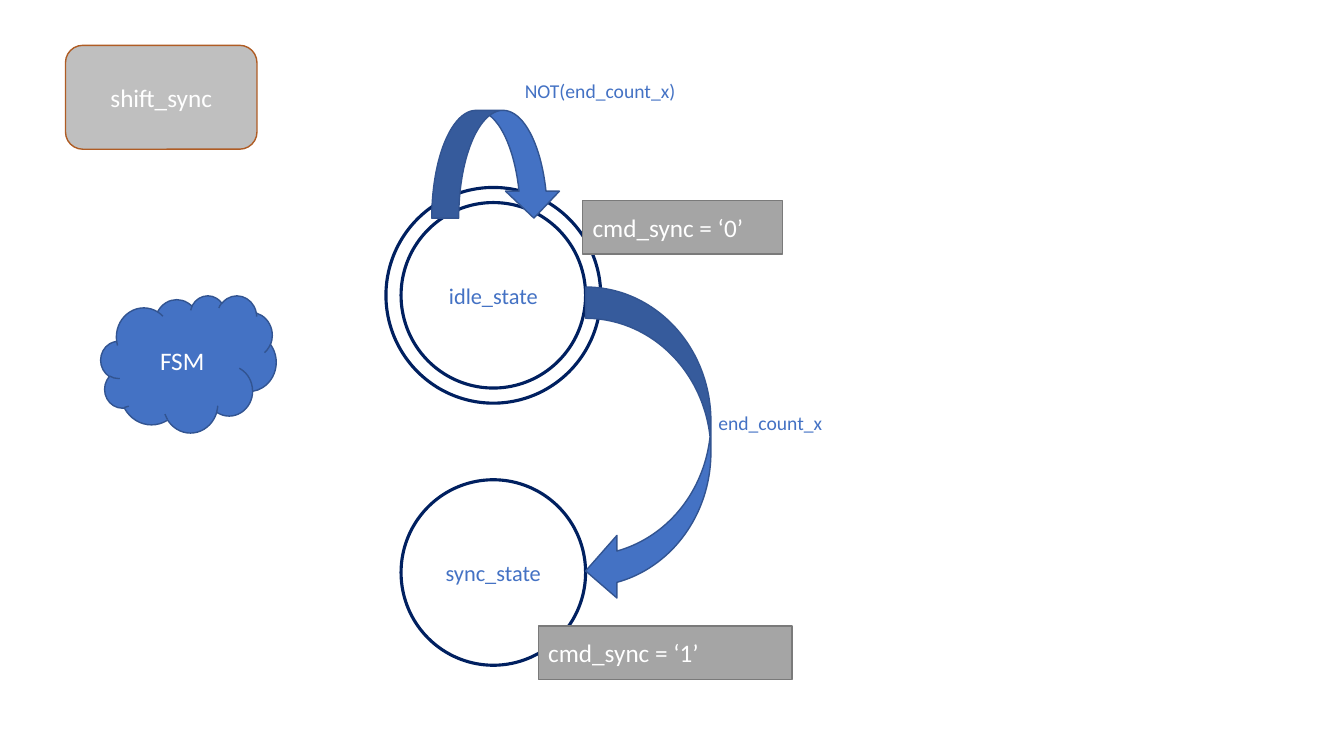
import pptx
import pptx.util
import pptx.dml.color
import pptx.enum.shapes
import pptx.enum.text

Pt = pptx.util.Pt
SHAPE = pptx.enum.shapes.MSO_SHAPE
ALIGN = pptx.enum.text.PP_ALIGN
ANCHOR = pptx.enum.text.MSO_ANCHOR

COLORS = {
    "white": "FFFFFF",
    "blue": "4472C4",
    "blue_line": "325491",
    "navy": "002060",
    "gray": "A5A5A5",
    "gray_line": "7A7A7A",
    "light_gray": "BFBFBF",
    "rust": "AF5C24",
}
STATE_W, STATE_H = 131.8, 132.5
STATE_X = 286.5
IDLE_Y, SYNC_Y = 144.7, 342.7
RING_GAP = 10.8


def rgb(name):
    return pptx.dml.color.RGBColor.from_string(COLORS[name])


def write(sp, text, size, color, align=ALIGN.CENTER):
    tf = sp.text_frame
    tf.word_wrap = True
    tf.text = text
    p = tf.paragraphs[0]
    p.alignment = align
    font = p.runs[0].font
    font.name = "Calibri"
    font.size = Pt(size)
    font.color.rgb = rgb(color)


def add_shape(slide, kind, box, fill, line, line_width=1):
    sp = slide.shapes.add_shape(kind, *map(Pt, box))
    sp.shadow.inherit = False
    sp.fill.solid()
    sp.fill.fore_color.rgb = rgb(fill)
    sp.line.color.rgb = rgb(line)
    sp.line.width = Pt(line_width)
    sp.text_frame.vertical_anchor = ANCHOR.MIDDLE
    return sp


def add_state(slide, box, name, initial=False):
    """Draw a state circle; the initial state gets a second, outer ring."""
    x, y, w, h = box
    if initial:
        outer = (x - RING_GAP, y - RING_GAP, w + 2 * RING_GAP, h + 2 * RING_GAP)
        add_shape(slide, SHAPE.OVAL, outer, "white", "navy", 2.25)
    sp = add_shape(slide, SHAPE.OVAL, box, "white", "navy", 2.25)
    write(sp, name, 16, "blue")


def add_transition(slide, box, condition, label_box, rotation=0):
    arrow = add_shape(slide, SHAPE.CURVED_LEFT_ARROW, box, "blue", "blue_line")
    arrow.rotation = rotation
    label = slide.shapes.add_textbox(*map(Pt, label_box))
    write(label, condition, 14, "blue")
    label.text_frame.auto_size = pptx.enum.text.MSO_AUTO_SIZE.SHAPE_TO_FIT_TEXT


def add_output(slide, box, text):
    sp = add_shape(slide, SHAPE.RECTANGLE, box, "gray", "gray_line")
    write(sp, text, 18, "white", ALIGN.LEFT)


def add_badge(slide, kind, box, text, fill, line):
    sp = add_shape(slide, kind, box, fill, line)
    write(sp, text, 18, "white")


def build_state_diagram(slide):
    right = STATE_X + STATE_W
    add_state(slide, (STATE_X, IDLE_Y, STATE_W, STATE_H), "idle_state", initial=True)
    add_state(slide, (STATE_X, SYNC_Y, STATE_W, STATE_H), "sync_state")
    add_transition(slide, (right, 205, 89.5, 225.2), "end_count_x",
                   (right + 82, 290.2, 100, 24.2))
    add_transition(slide, (STATE_X + 29.5, 71.2, 77, 92.2), "NOT(end_count_x)",
                   (STATE_X + 65.5, 52.6, 153.4, 24.2), rotation=270)
    add_badge(slide, SHAPE.CLOUD, (72, 211, 125.3, 98), "FSM", "blue", "blue_line")
    add_output(slide, (416.2, IDLE_Y - 1.4, 142.6, 38.2), "cmd_sync = ‘0’")
    add_output(slide, (384.5, SYNC_Y + 104.4, 181.4, 38.2), "cmd_sync = ‘1’")


def main():
    prs = pptx.Presentation()
    prs.slide_width, prs.slide_height = Pt(960), Pt(540)
    slide = prs.slides.add_slide(prs.slide_layouts[6])
    build_state_diagram(slide)
    add_badge(slide, SHAPE.ROUNDED_RECTANGLE, (46.8, 32.4, 136.8, 74.2),
              "shift_sync", "light_gray", "rust")
    prs.save("out.pptx")


if __name__ == "__main__":
    main()
